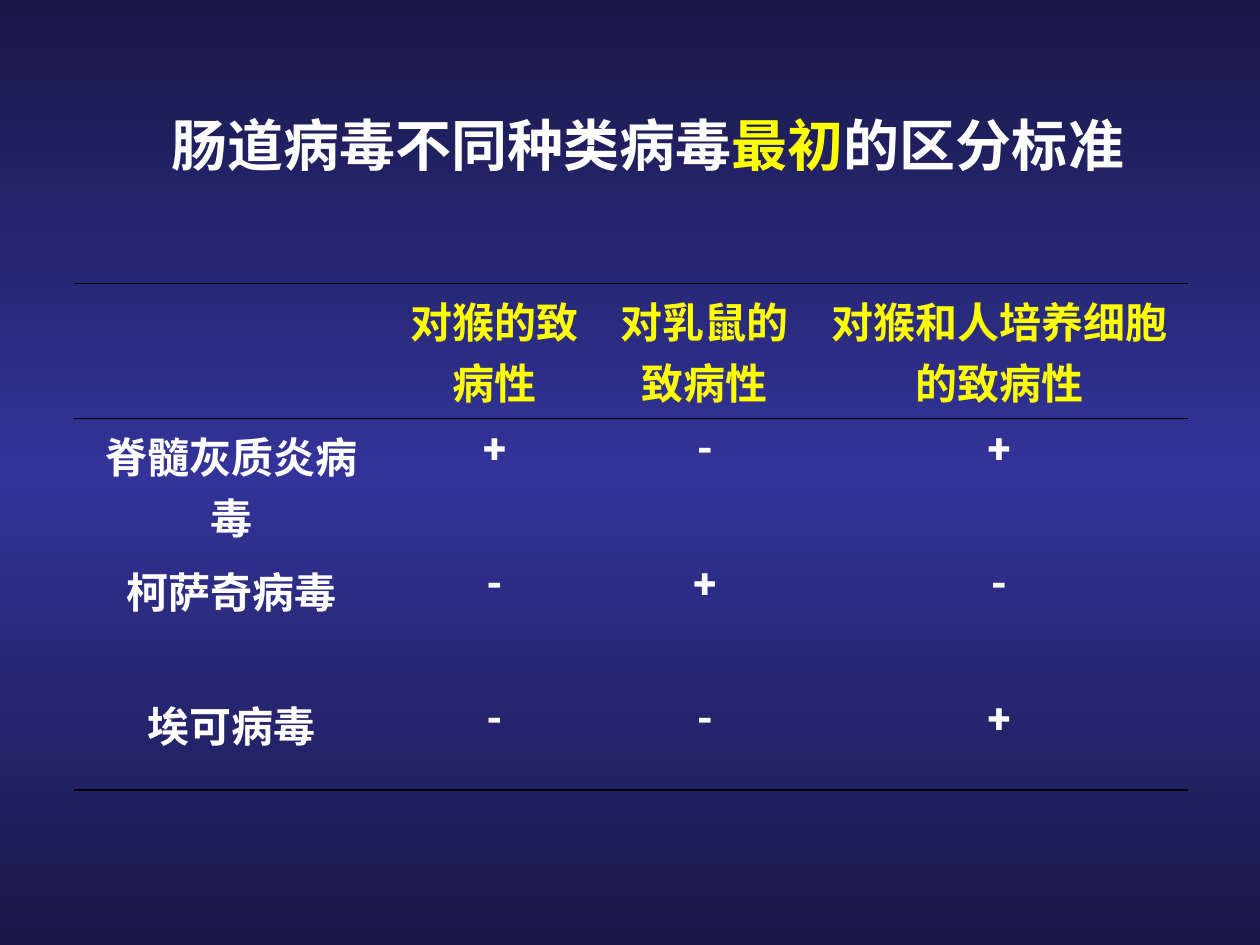
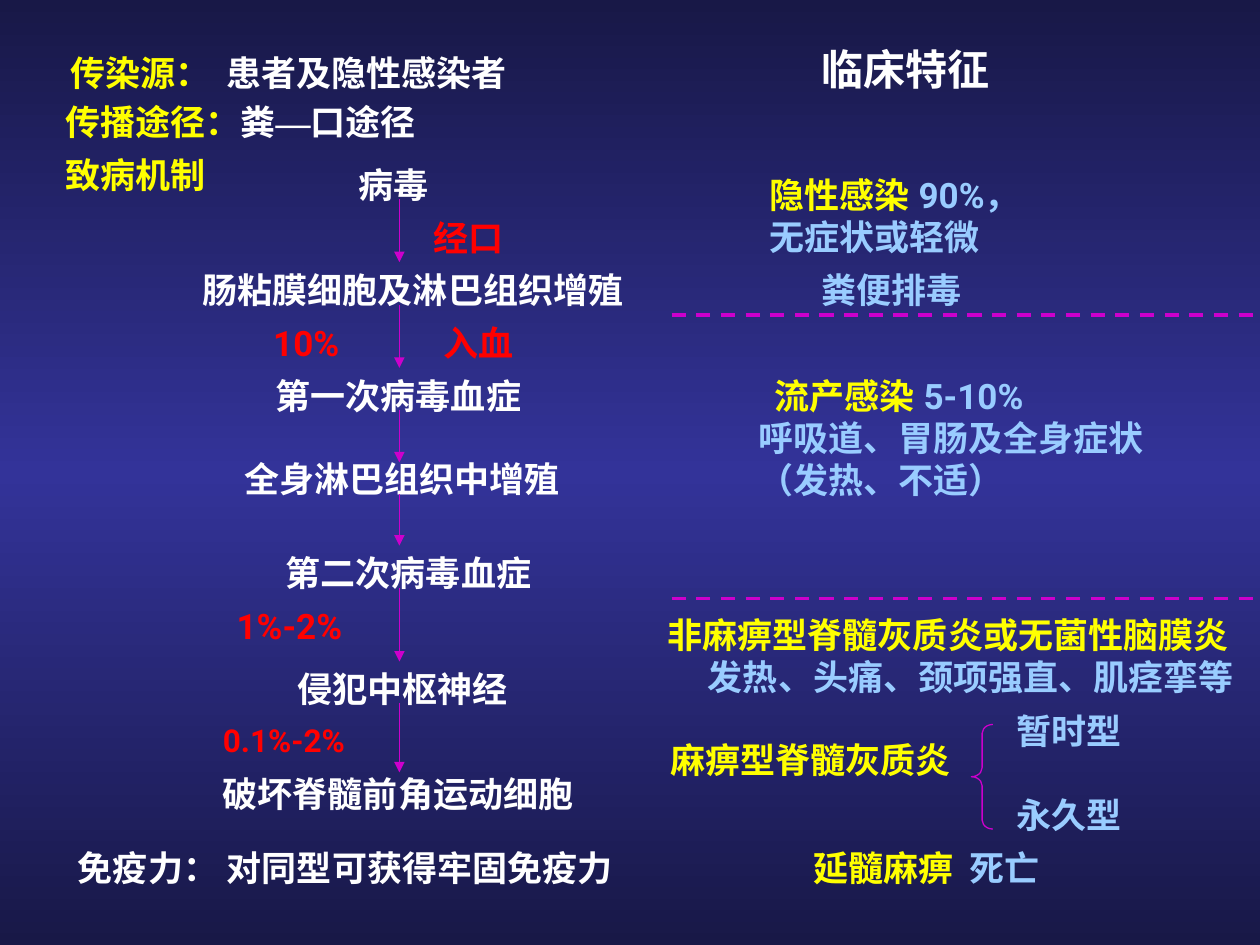
from copy import deepcopy
from dataclasses import dataclass

from lxml import etree
from pptx import Presentation
from pptx.dml.color import RGBColor
from pptx.enum.dml import MSO_LINE
from pptx.enum.shapes import MSO_CONNECTOR, MSO_SHAPE
from pptx.enum.text import MSO_AUTO_SIZE, PP_ALIGN
from pptx.oxml.ns import qn
from pptx.util import Inches, Pt

STRAIGHT = MSO_CONNECTOR.STRAIGHT
LEFT_BRACE = MSO_SHAPE.LEFT_BRACE
DASH = MSO_LINE.DASH
GROW = MSO_AUTO_SIZE.SHAPE_TO_FIT_TEXT
CENTER = PP_ALIGN.CENTER

NAVY = RGBColor(0x18, 0x18, 0x47)
INDIGO = RGBColor(0x33, 0x33, 0x99)
WHITE = RGBColor(0xFF, 0xFF, 0xFF)
YELLOW = RGBColor(0xFF, 0xFF, 0x00)
RED = RGBColor(0xFF, 0x00, 0x00)
SKY = RGBColor(0x99, 0xCC, 0xFF)
MAGENTA = RGBColor(0xCC, 0x00, 0xCC)
BLACK = RGBColor(0, 0, 0)

FONT = "Roboto"
DASH_FONT = "Times New Roman"
TAB_STOP = 1.24
WIDTH_SLACK = 0.08
ARROW_LEFT = 3.17


@dataclass(frozen=True)
class Span:
    text: str
    color: RGBColor = WHITE
    font: str = FONT


@dataclass(frozen=True)
class Para:
    spans: tuple[Span, ...]
    indent: float = 0
    before: float = 0


@dataclass(frozen=True)
class TextBlock:
    left: float
    top: float
    width: float
    paras: tuple[Para, ...]
    height: float = 0.44
    size: float = 20


@dataclass(frozen=True)
class Rule:
    left: float
    top: float
    right: float
    bottom: float
    weight: float
    arrow: bool = False


def line_of(*spans: Span, indent: float = 0, before: float = 0) -> Para:
    return Para(spans, indent, before)


def label(left: float, top: float, width: float, text: str, color: RGBColor = WHITE) -> TextBlock:
    return TextBlock(left, top, width, (line_of(Span(text, color)),))


def format_run(run, span: Span, size: float) -> None:
    values = {"name": span.font, "size": Pt(size), "bold": True}
    for name, value in values.items():
        setattr(run.font, name, value)
    run.font.color.rgb = span.color


def add_text(page, block: TextBlock) -> None:
    box = page.shapes.add_textbox(
        Inches(block.left), Inches(block.top),
        Inches(block.width + WIDTH_SLACK), Inches(block.height),
    )
    frame = box.text_frame
    frame.word_wrap = True
    frame.auto_size = GROW
    for index, line in enumerate(block.paras):
        para = frame.add_paragraph() if index else frame.paragraphs[0]
        properties = para._p.get_or_add_pPr()
        if line.indent:
            properties.set("marL", str(Inches(line.indent)))
        if any("\t" in span.text for span in line.spans):
            tabs = etree.SubElement(properties, qn("a:tabLst"))
            etree.SubElement(tabs, qn("a:tab"), pos=str(Inches(TAB_STOP)), algn="l")
        if line.before:
            para.space_before = Pt(line.before)
        for span in line.spans:
            run = para.add_run()
            run.text = span.text
            format_run(run, span, block.size)
            etree.SubElement(run._r.get_or_add_rPr(), qn("a:ea"), typeface=span.font)


def add_rule(page, rule: Rule) -> None:
    connector = page.shapes.add_connector(
        STRAIGHT, Inches(rule.left), Inches(rule.top), Inches(rule.right), Inches(rule.bottom)
    )
    line = connector.line
    line.color.rgb = MAGENTA
    line.width = Pt(rule.weight)
    if rule.arrow:
        etree.SubElement(line._get_or_add_ln(), qn("a:tailEnd"), type="triangle")
    else:
        line.dash_style = DASH
    etree.SubElement(connector._element.spPr, qn("a:effectLst"))


def add_brace(page, left: float, top: float, width: float, height: float) -> None:
    brace = page.shapes.add_shape(
        LEFT_BRACE, Inches(left), Inches(top), Inches(width), Inches(height)
    )
    brace.shadow.inherit = False
    brace.adjustments[0] = 0.42
    brace.fill.background()
    brace.line.color.rgb = MAGENTA
    brace.line.width = Pt(0.75)


def set_borders(cell, top: float, bottom: float) -> None:
    properties = cell._tc.get_or_add_tcPr()
    for side, weight in {"lnL": 0, "lnR": 0, "lnT": top, "lnB": bottom}.items():
        line = etree.SubElement(properties, qn(f"a:{side}"), w=str(Pt(weight)))
        if weight:
            fill = etree.SubElement(line, qn("a:solidFill"))
            etree.SubElement(fill, qn("a:srgbClr"), val=str(BLACK))
        else:
            etree.SubElement(line, qn("a:noFill"))


def paint_background(deck) -> None:
    master = deck.slide_master
    fill = master.background.fill
    fill.gradient()
    fill.gradient_angle = 90
    stops = next(master._element.iter(qn("a:gsLst")))
    stops.append(deepcopy(stops[0]))
    for stop, position, color in zip(fill.gradient_stops, (0, 0.5, 1), (NAVY, INDIGO, NAVY)):
        stop.position = position
        stop.color.rgb = color


VIRUS_ROWS = (
    ("", "对猴的致病性", "对乳鼠的致病性", "对猴和人培养细胞的致病性"),
    ("脊髓灰质炎病毒", "+", "-", "+"),
    ("柯萨奇病毒", "-", "+", "-"),
    ("埃可病毒", "-", "-", "+"),
)
COLUMN_WIDTHS = (2.5, 1.67, 1.67, 3)
ROW_HEIGHTS = (1.07, 1.07, 1.07, 0.81)
EDGE_WEIGHTS = (1.08, 0.45, 0, 0, 1.08)
CORNER_WEIGHT = 0.45


def add_virus_table(page) -> None:
    table = page.shapes.add_table(
        len(VIRUS_ROWS), len(COLUMN_WIDTHS), Inches(0.59), Inches(2.25),
        Inches(sum(COLUMN_WIDTHS)), Inches(sum(ROW_HEIGHTS)),
    ).table
    table.first_row = False
    table.horz_banding = False
    for column, width in zip(table.columns, COLUMN_WIDTHS):
        column.width = Inches(width)
    for row, height in zip(table.rows, ROW_HEIGHTS):
        row.height = Inches(height)
    for row_index, texts in enumerate(VIRUS_ROWS):
        for column_index, text in enumerate(texts):
            cell = table.cell(row_index, column_index)
            is_corner = row_index == column_index == 0
            top = CORNER_WEIGHT if is_corner else EDGE_WEIGHTS[row_index]
            set_borders(cell, top, EDGE_WEIGHTS[row_index + 1])
            cell.fill.background()
            if text:
                para = cell.text_frame.paragraphs[0]
                para.alignment = CENTER
                run = para.add_run()
                run.text = text
                format_run(run, Span(text, WHITE if row_index else YELLOW), 24)


CRITERIA_TITLE = TextBlock(
    1.26, 0.83, 7.76,
    (line_of(Span("肠道病毒不同种类病毒"), Span("最初", YELLOW), Span("的区分标准")),),
    height=0.64, size=32,
)

SOURCE_NOTES = (
    TextBlock(0.46, 0.36, 3.66, (line_of(Span("传染源：\t", YELLOW), Span("患者及隐性感染者")),)),
    TextBlock(0.42, 0.75, 2.98, (
        line_of(Span("传播途径：", YELLOW), Span("粪"), Span("—", font=DASH_FONT), Span("口途径")),
    )),
    label(0.42, 1.17, 1.31, "致病机制", YELLOW),
    label(0.52, 6.67, 4.44, "免疫力： 对同型可获得牢固免疫力"),
)

PATHOGENESIS_STEPS = (
    label(2.75, 1.25, 0.75, "病毒"),
    label(1.51, 2.08, 3.54, "肠粘膜细胞及淋巴组织增殖"),
    label(2.09, 2.92, 2.15, "第一次病毒血症"),
    label(1.84, 3.58, 2.7, "全身淋巴组织中增殖"),
    label(2.17, 4.33, 2.15, "第二次病毒血症"),
    label(2.26, 5.25, 1.87, "侵犯中枢神经"),
    label(1.67, 6.08, 2.98, "破坏脊髓前角运动细胞"),
)

STEP_REMARKS = (
    label(3.34, 1.67, 0.75, "经口", RED),
    label(3.42, 2.5, 0.75, "入血", RED),
    label(2.07, 2.5, 0.84, "10%", RED),
    label(1.78, 4.75, 1.11, "1%-2%", RED),
    TextBlock(1.67, 5.67, 1.5, (line_of(Span("0.1%-2%", RED)),), height=0.4, size=18),
)

CLINICAL_NOTES = (
    TextBlock(6.42, 0.3, 1.83, (line_of(Span("临床特征")),), height=0.5, size=24),
    TextBlock(6.01, 1.33, 2.35, (
        line_of(Span("隐性感染 ", YELLOW), Span("90%，", SKY)),
        line_of(Span("无症状或轻微", SKY)),
    ), height=0.77),
    label(6.42, 2.08, 1.31, "粪便排毒", SKY),
    TextBlock(5.92, 2.92, 3.26, (
        line_of(Span("流产感染 ", YELLOW), Span("5-10%", SKY), indent=0.13),
        line_of(Span("呼吸道、胃肠及全身症状", SKY)),
        line_of(Span("（发热、不适）", SKY)),
    ), height=1.1),
    TextBlock(5.2, 4.82, 4.71, (
        line_of(Span("非麻痹型脊髓灰质炎或无菌性脑膜炎", YELLOW)),
        line_of(Span("发热、头痛、颈项强直、肌痉挛等", SKY), indent=0.32),
    ), height=0.77),
    label(5.22, 5.81, 2.42, "麻痹型脊髓灰质炎", YELLOW),
    TextBlock(6.36, 6.67, 1.99, (line_of(Span("延髓麻痹\t", YELLOW), Span("死亡", SKY)),)),
    TextBlock(7.97, 5.58, 1.03, (
        line_of(Span("暂时型", SKY)),
        line_of(Span("永久型", SKY), before=24),
    ), height=1.1),
)

ARROW_SPANS = (
    (1.58, 2.08), (2.42, 2.92), (3.25, 3.67), (3.92, 4.33), (4.67, 5.25), (5.58, 6.13),
)
DIVIDER_TOPS = (2.5, 4.75)


def build_criteria_slide(page) -> None:
    add_virus_table(page)
    add_text(page, CRITERIA_TITLE)


def build_pathogenesis_slide(page) -> None:
    for block in SOURCE_NOTES + PATHOGENESIS_STEPS + STEP_REMARKS + CLINICAL_NOTES:
        add_text(page, block)
    for top, bottom in ARROW_SPANS:
        add_rule(page, Rule(ARROW_LEFT, top, ARROW_LEFT, bottom, 0.75, arrow=True))
    for top in DIVIDER_TOPS:
        add_rule(page, Rule(5.33, top, 10, top, 2))
    add_brace(page, 7.71, 5.75, 0.17, 0.83)


def main() -> None:
    deck = Presentation()
    deck.slide_width = Inches(10)
    deck.slide_height = Inches(7.5)
    paint_background(deck)
    blank = deck.slide_layouts[6]
    for build in (build_criteria_slide, build_pathogenesis_slide):
        build(deck.slides.add_slide(blank))
    deck.save("out.pptx")


if __name__ == "__main__":
    main()
